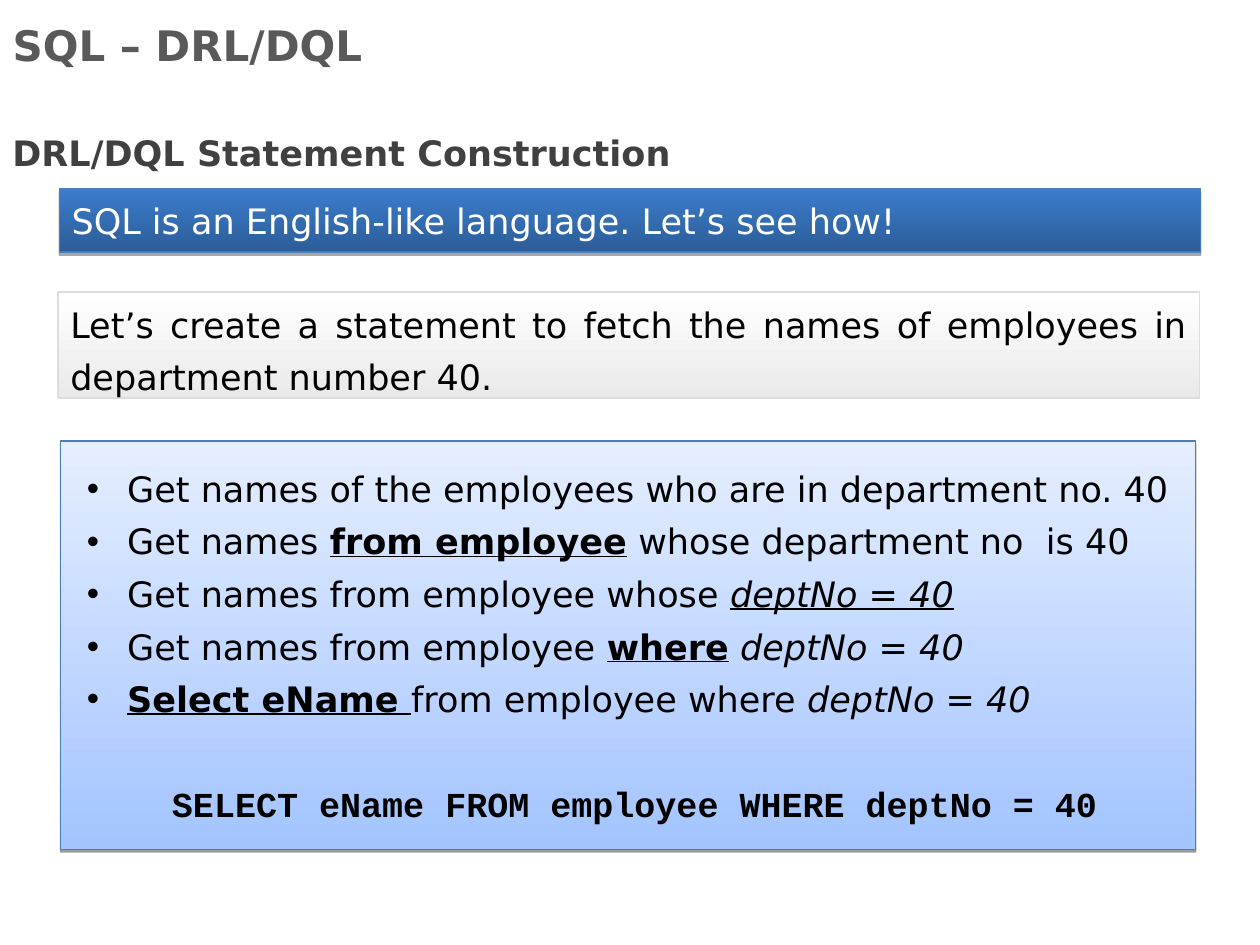
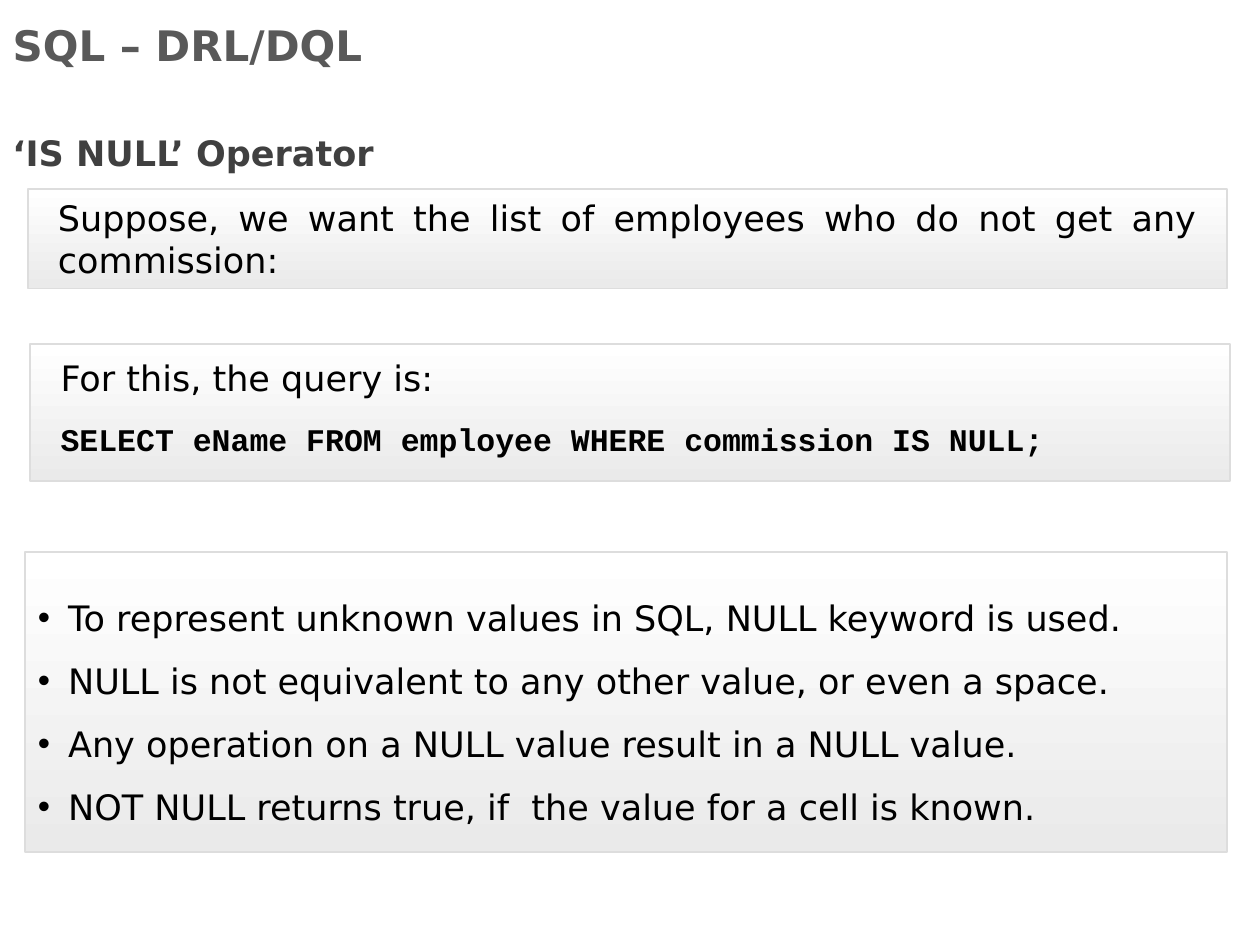
from lxml.etree import SubElement
from pptx import Presentation
from pptx.dml.color import RGBColor
from pptx.enum.shapes import MSO_SHAPE
from pptx.enum.text import MSO_ANCHOR as Anchor, MSO_AUTO_SIZE as AutoSize, PP_ALIGN as Align
from pptx.oxml.ns import qn
from pptx.util import Inches, Pt

TITLE_GRAY = RGBColor(0x59, 0x59, 0x59)
HEADING_GRAY = RGBColor(0x40, 0x40, 0x40)
BLACK = RGBColor(0, 0, 0)
WHITE = RGBColor(0xFF, 0xFF, 0xFF)
PANEL_GRAY = RGBColor(0xEA, 0xEA, 0xEA)
PANEL_LINE = RGBColor(0xDD, 0xDD, 0xDD)
BLUE_LINE = RGBColor(0x4A, 0x7E, 0xBB)
BAR_TOP = RGBColor(0x3A, 0x7C, 0xCB)
BAR_BOTTOM = RGBColor(0x2C, 0x5D, 0x98)
STEPS_TOP = RGBColor(0xE5, 0xEE, 0xFF)
STEPS_BOTTOM = RGBColor(0xA3, 0xC4, 0xFF)

# Each look is top colour, bottom colour, line colour, line width.
GRAY_LOOK = (WHITE, PANEL_GRAY, PANEL_LINE, 1)
BAR_LOOK = (BAR_TOP, BAR_BOTTOM, BLUE_LINE, 0.75)
STEPS_LOOK = (STEPS_TOP, STEPS_BOTTOM, BLUE_LINE, 0.75)

BODY_FONT = "DejaVu Sans"
CODE_FONT = "Courier New"
TITLE = "SQL – DRL/DQL"


def place(shape, left, top, width, height):
    shape.left, shape.top = Inches(left), Inches(top)
    shape.width, shape.height = Inches(width), Inches(height)


def set_frame(shape, anchor=Anchor.TOP, side=0.1, top=0.05, bottom=0.05):
    frame = shape.text_frame
    frame.word_wrap = True
    frame.auto_size = AutoSize.NONE
    frame.vertical_anchor = anchor
    frame.margin_left = frame.margin_right = Inches(side)
    frame.margin_top, frame.margin_bottom = Inches(top), Inches(bottom)
    return frame


def set_bullet(paragraph, indent, hanging, character=None):
    """Indent the paragraph; without a character it shows no bullet."""
    properties = paragraph._p.get_or_add_pPr()
    properties.set("marL", str(Inches(indent)))
    properties.set("indent", str(-Inches(hanging)))
    if character:
        SubElement(properties, qn("a:buChar"), char=character)
    else:
        SubElement(properties, qn("a:buNone"))


def style(paragraph, size=20, color=BLACK, name=BODY_FONT, bold=False,
          align=Align.LEFT, before=0, after=0, spacing=1.0):
    paragraph.alignment = align
    paragraph.space_before, paragraph.space_after = Pt(before), Pt(after)
    paragraph.line_spacing = spacing
    font = paragraph.font
    font.size, font.name, font.bold = Pt(size), name, bold
    font.color.rgb = color


def next_paragraph(frame):
    """Return the empty first paragraph, or a new one after the text."""
    return frame.paragraphs[0] if not frame.text else frame.add_paragraph()


def write(frame, text, **options):
    paragraph = next_paragraph(frame)
    paragraph.text = text
    style(paragraph, **options)


def paint(shape, look):
    top_color, bottom_color, line_color, line_width = look
    shape.fill.gradient()
    shape.fill.gradient_angle = 270
    for stop, color in zip(shape.fill.gradient_stops, (top_color, bottom_color)):
        stop.color.rgb = color
    shape.line.color.rgb = line_color
    shape.line.width = Pt(line_width)
    shape.shadow.inherit = False


def add_panel(slide, box, look):
    panel = slide.shapes.add_shape(MSO_SHAPE.RECTANGLE, 0, 0, 0, 0)
    place(panel, *box)
    paint(panel, look)
    return panel


def drop_shadow(shape, distance, opacity):
    effects = shape._element.spPr.find(qn("a:effectLst"))
    shadow = SubElement(effects, qn("a:outerShdw"), blurRad="0",
                        dist=str(Pt(distance)), dir="5400000", rotWithShape="0")
    color = SubElement(shadow, qn("a:srgbClr"), val="000000")
    SubElement(color, qn("a:alpha"), val=str(opacity * 1000))


def add_slide(presentation, heading):
    """Add a slide with the shared title and its own heading."""
    slide = presentation.slides.add_slide(presentation.slide_layouts[1])
    title = slide.shapes.title
    place(title, 0, 0.14, 9, 0.43)
    write(set_frame(title, Anchor.MIDDLE), TITLE, size=24, color=TITLE_GRAY, bold=True)
    heading_box = slide.shapes.add_textbox(0, 0, 0, 0)
    place(heading_box, 0, 0.83, 7.09, 0.6)
    write(set_frame(heading_box), heading, color=HEADING_GRAY, bold=True, spacing=1.5)
    return slide


def add_step(frame, runs):
    """Add a bullet from (text, marks) runs; marks are among b, i and u."""
    paragraph = next_paragraph(frame)
    set_bullet(paragraph, 0.38, 0.32, "•")
    first = paragraph is frame.paragraphs[0] or not frame.text
    style(paragraph, before=0 if first else 3, after=3)
    for text, marks in runs:
        run = paragraph.add_run()
        run.text = text
        if "b" in marks:
            run.font.bold = True
        if "i" in marks:
            run.font.italic = True
        if "u" in marks:
            run.font.underline = True


def build_construction_slide(presentation):
    slide = add_slide(presentation, "DRL/DQL Statement Construction")

    steps_panel = add_panel(slide, (0.48, 3.5, 9.01, 3.24), STEPS_LOOK)
    drop_shadow(steps_panel, 1.6, 38)
    steps = slide.placeholders[1]
    steps_panel._element.addnext(steps._element)

    bar = add_panel(slide, (0.47, 1.5, 9.06, 0.5), BAR_LOOK)
    drop_shadow(bar, 1.8, 35)
    write(set_frame(bar, Anchor.MIDDLE, top=0, bottom=0),
          "SQL is an English-like language. Let’s see how!", color=WHITE)

    place(steps, 0.53, 3.66, 8.96, 2.94)
    frame = set_frame(steps)
    for runs in (
        [("Get names of the employees who are in department no. 40", "")],
        [("Get names ", ""), ("from employee", "bu"),
         (" whose department no  is 40", "")],
        [("Get names from employee whose ", ""), ("deptNo = 40", "iu")],
        [("Get names from employee ", ""), ("where", "bu"), (" ", ""),
         ("deptNo = 40", "i")],
        [("Select eName ", "bu"), ("from employee where ", ""), ("deptNo = 40", "i")],
    ):
        add_step(frame, runs)
    query = frame.add_paragraph()
    query.text = "SELECT eName FROM employee WHERE deptNo = 40"
    set_bullet(query, 0.38, 0.32)
    style(query, name=CODE_FONT, bold=True, align=Align.CENTER, before=33)

    task = add_panel(slide, (0.46, 2.32, 9.06, 0.84), GRAY_LOOK)
    write(set_frame(task, Anchor.MIDDLE, top=0, bottom=0),
          "Let’s create a statement to fetch the names of employees in "
          "department number 40.", align=Align.JUSTIFY, spacing=Pt(30))


def build_null_slide(presentation):
    slide = add_slide(presentation, "‘IS NULL’ Operator")

    task = add_panel(slide, (0.22, 1.5, 9.52, 0.79), GRAY_LOOK)
    write(set_frame(task, Anchor.MIDDLE, side=0.24, top=0, bottom=0),
          "Suppose, we want the list of employees who do not get any commission:",
          align=Align.JUSTIFY)

    query = add_panel(slide, (0.24, 2.73, 9.52, 1.09), GRAY_LOOK)
    frame = set_frame(query, side=0.24, top=0.1, bottom=0)
    write(frame, "For this, the query is:", align=Align.JUSTIFY)
    write(frame, "SELECT eName FROM employee WHERE commission IS NULL;",
          size=18, name=CODE_FONT, bold=True, before=12)

    facts = slide.placeholders[1]
    place(facts, 0.2, 4.38, 9.54, 2.38)
    paint(facts, GRAY_LOOK)
    frame = set_frame(facts, Anchor.MIDDLE, top=0, bottom=0)
    for fact in (
        "To represent unknown values in SQL, NULL keyword is used.",
        "NULL is not equivalent to any other value, or even a space.",
        "Any operation on a NULL value result in a NULL value.",
        "NOT NULL returns true, if  the value for a cell is known.",
    ):
        paragraph = next_paragraph(frame)
        paragraph.text = fact
        set_bullet(paragraph, 0.24, 0.24, "•")
        style(paragraph, spacing=1.5)


def main():
    presentation = Presentation()
    presentation.slide_width, presentation.slide_height = Inches(10), Inches(7.5)
    build_construction_slide(presentation)
    build_null_slide(presentation)
    presentation.save("out.pptx")


if __name__ == "__main__":
    main()
